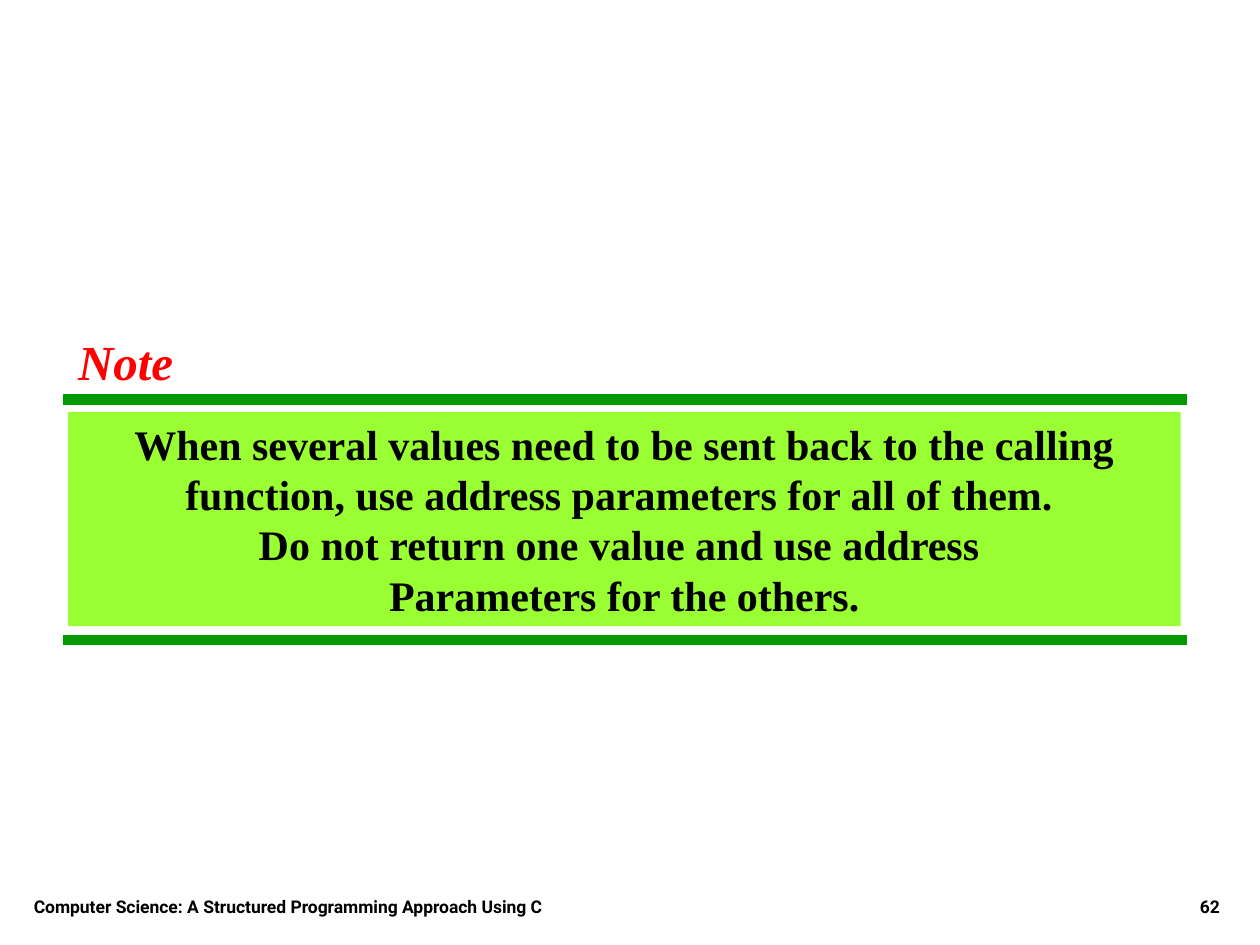
from pptx import Presentation
from pptx.dml.color import RGBColor
from pptx.enum import shapes, text
from pptx.oxml.ns import qn
from pptx.util import Inches, Pt
from lxml import etree

SERIF, SANS = "Times New Roman", "Roboto"
LEFT, MID, RIGHT = text.PP_ALIGN.LEFT, text.PP_ALIGN.CENTER, text.PP_ALIGN.RIGHT
TOP, LOW = text.MSO_ANCHOR.TOP, text.MSO_ANCHOR.BOTTOM

HEAD = "Note"
NOTE = [
    "When several values need to be sent back to the calling function, "
    "use address parameters for all of them. ",
    "Do not return one value and use address ",
    "Parameters for the others.",
]
FOOT = [
    ("Computer Science: A Structured Programming Approach Using C", 0.17, 5.67, LEFT),
    ("62", 7.7, 2.08, RIGHT),
]
RULES = [3.17, 5.08]


def color(code):
    return RGBColor.from_string(code)


def place(shape, *box):
    shape.left, shape.top, shape.width, shape.height = map(Inches, box)


def write(shape, lines, size, face, code, align, anchor, italic=False):
    frame = shape.text_frame
    frame.text = "\n".join(lines)
    frame.auto_size = text.MSO_AUTO_SIZE.NONE
    frame.word_wrap = True
    frame.vertical_anchor = anchor
    for para in frame.paragraphs:
        para.alignment = align
        font = para.font
        font.name, font.size = face, Pt(size)
        font.bold, font.italic = True, italic
        font.color.rgb = color(code)


deck = Presentation()
deck.slide_width, deck.slide_height = Inches(10), Inches(7.5)
slide = deck.slides.add_slide(deck.slide_layouts[5])
items = slide.shapes

for y in RULES:
    rule = items.add_connector(shapes.MSO_CONNECTOR.STRAIGHT,
                               Inches(0.5), Inches(y), Inches(9.42), Inches(y))
    rule.line.color.rgb = color("009900")
    rule.line.width = Pt(6)
    etree.SubElement(rule._element.spPr, qn("a:effectLst"))

panel = items.add_shape(shapes.MSO_SHAPE.RECTANGLE, 0, 0, 0, 0)
place(panel, 0.54, 3.27, 8.83, 1.7)
panel.shadow.inherit = False
panel.fill.solid()
panel.fill.fore_color.rgb = color("99FF33")
panel.line.fill.background()
write(panel, NOTE, 24, SERIF, "000000", MID, TOP)

# The left inset of 0.1 puts the heading's first letter at 0.62.
place(items.title, 0.52, 2.58, 1.2, 0.57)
write(items.title, [HEAD], 28, SERIF, "FF0000", LEFT, TOP, italic=True)

for words, x, wide, align in FOOT:
    box = items.add_textbox(0, 0, 0, 0)
    place(box, x, 6.83, wide, 0.5)
    write(box, [words], 10, SANS, "000000", align, LOW)

deck.save("out.pptx")
